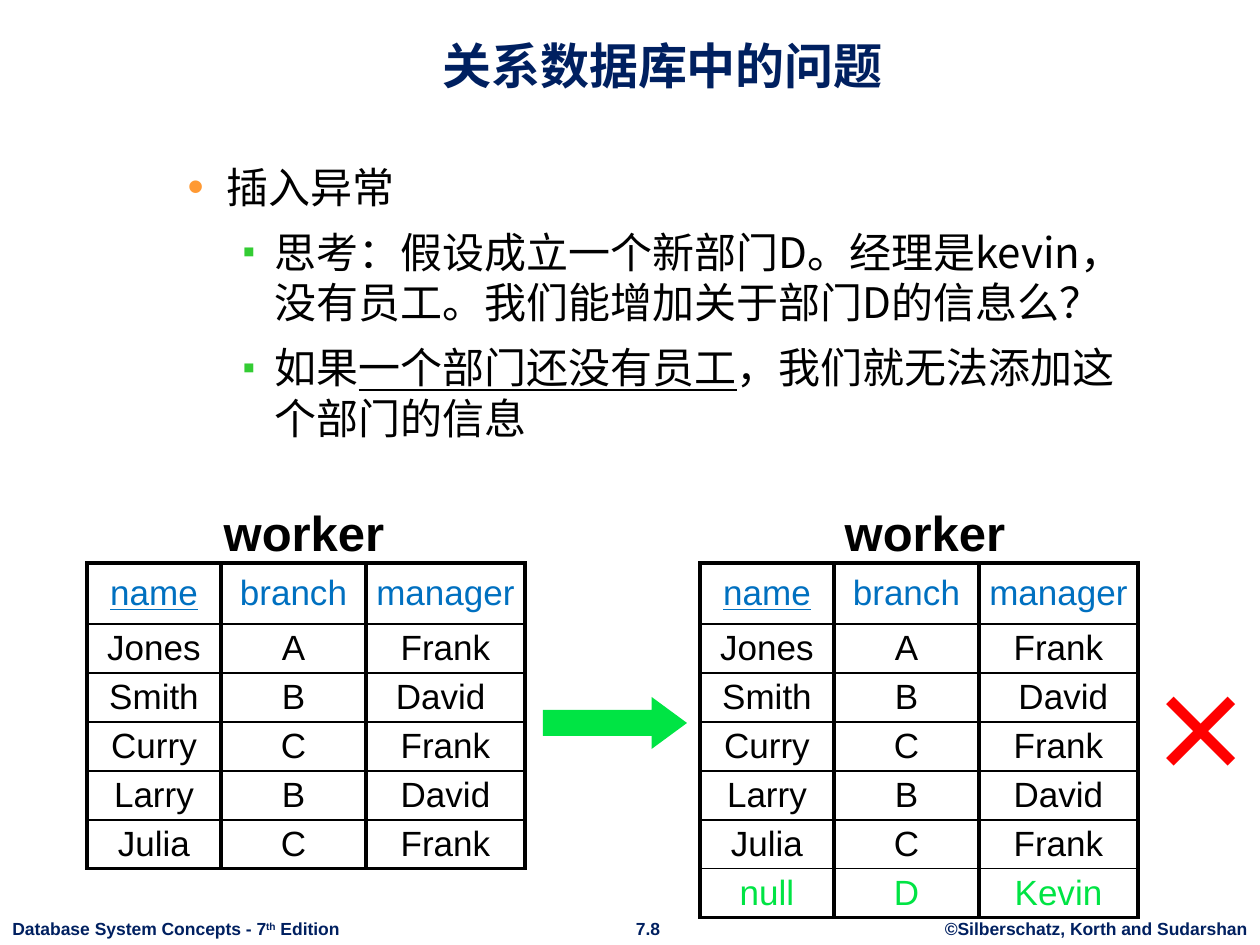
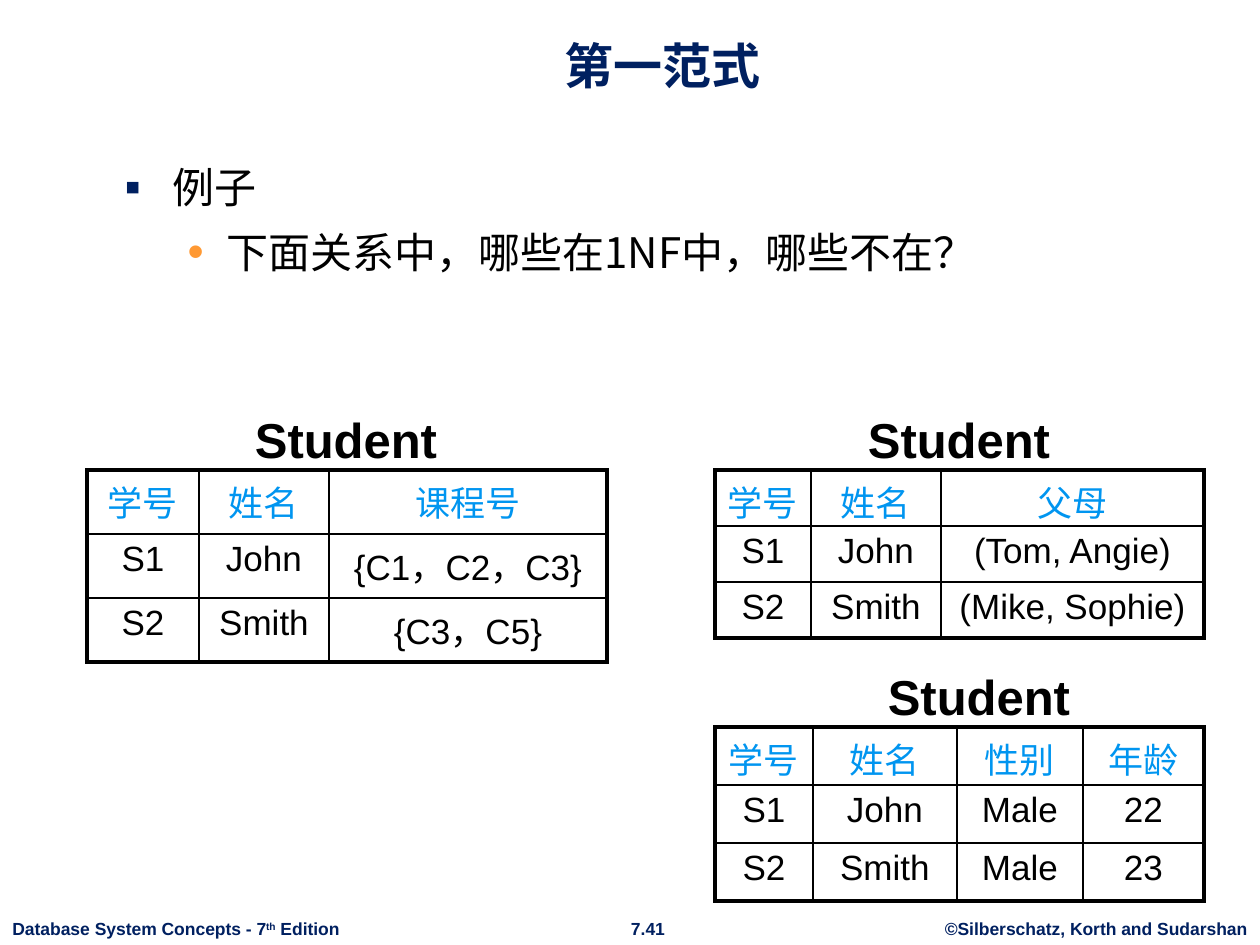
from lxml import etree
from pptx import Presentation
from pptx.dml.color import RGBColor
from pptx.enum.shapes import MSO_SHAPE
from pptx.enum.text import MSO_ANCHOR, MSO_AUTO_SIZE, PP_ALIGN
from pptx.oxml.ns import qn
from pptx.util import Pt

EMU_PER_PX = 914400 / 126
SLIDE_WIDTH, SLIDE_HEIGHT = 1260, 945

NAVY = RGBColor(0x00, 0x20, 0x60)
BLACK = RGBColor(0x00, 0x00, 0x00)
WHITE = RGBColor(0xFF, 0xFF, 0xFF)
ORANGE = RGBColor(0xFF, 0x99, 0x33)
LIME = RGBColor(0x33, 0xCC, 0x33)
GREEN = RGBColor(0x00, 0xE4, 0x44)
RED = RGBColor(0xFF, 0x00, 0x00)
HEADER_BLUE = RGBColor(0x00, 0x70, 0xC0)
HEADER_SKY = RGBColor(0x00, 0x95, 0xF0)

LATIN_FONT = "Arial"
CHINESE_FONT = "Noto Sans CJK SC"
THICK, THIN = 2.25, 1

# level: (left margin, first-line indent, bullet, bullet colour, bullet size %)
BULLETS = [
    (48, -48, "▪", NAVY, 110),
    (102, -39, "•", ORANGE, 110),
    (150, -32, "▪", LIME, 85),
]


def px(length):
    return round(length * EMU_PER_PX)


def add_run(paragraph, text, size, color=BLACK, bold=False, underline=False,
            font=LATIN_FONT, east_asian=CHINESE_FONT):
    run = paragraph.add_run()
    run.text = text
    run.font.size = Pt(size)
    run.font.bold = bold
    run.font.underline = underline
    run.font.color.rgb = color
    run.font.name = font
    properties = run._r.get_or_add_rPr()
    properties.find(qn("a:latin")).addnext(
        properties.makeelement(qn("a:ea"), {"typeface": east_asian}))
    return run


def place(shape, box):
    shape.left, shape.top, shape.width, shape.height = map(px, box)


def add_label(slide, box, align=PP_ALIGN.CENTER):
    """Add an empty one-line text box and return its paragraph."""
    frame = slide.shapes.add_textbox(*map(px, box)).text_frame
    frame.word_wrap = False
    paragraph = frame.paragraphs[0]
    paragraph.alignment = align
    return paragraph


def add_title(slide, text):
    title = slide.shapes.title
    place(title, (106, 16, 1113, 85))
    frame = title.text_frame
    frame.auto_size = MSO_AUTO_SIZE.NONE
    frame.vertical_anchor = MSO_ANCHOR.BOTTOM
    paragraph = frame.paragraphs[0]
    paragraph.alignment = PP_ALIGN.CENTER
    add_run(paragraph, text, 28, NAVY, bold=True, east_asian=LATIN_FONT)


def set_bullet(paragraph, level):
    margin, indent, character, color, size = BULLETS[level]
    paragraph.level = level
    properties = paragraph._p.get_or_add_pPr()
    properties.set("marL", str(px(margin)))
    properties.set("indent", str(px(indent)))
    bullet_color = etree.SubElement(properties, qn("a:buClr"))
    etree.SubElement(bullet_color, qn("a:srgbClr"), val=str(color))
    etree.SubElement(properties, qn("a:buSzPct"), val=str(size * 1000))
    etree.SubElement(properties, qn("a:buFont"), typeface=LATIN_FONT)
    etree.SubElement(properties, qn("a:buChar"), char=character)


def add_body(slide, items):
    """Fill the body with (level, [(text, underlined), ...]) items."""
    body = slide.placeholders[1]
    place(body, (112, 155, 1056, 675))
    frame = body.text_frame
    frame.auto_size = MSO_AUTO_SIZE.NONE
    for index, (level, runs) in enumerate(items):
        paragraph = frame.add_paragraph() if index else frame.paragraphs[0]
        set_bullet(paragraph, level)
        paragraph.line_spacing = Pt(28.8)
        paragraph.space_before = Pt(8.4 if index else 0)
        for text, underlined in runs:
            add_run(paragraph, text, 24, underline=underlined, font=CHINESE_FONT)


def add_footer(slide, number):
    top, height = 912, 33
    edition = add_label(slide, (0, top, 354, height), PP_ALIGN.LEFT)
    for text, baseline in (("Database System Concepts - 7", 0), ("th", 30000),
                           (" Edition", 0)):
        run = add_run(edition, text, 10, NAVY, bold=True)
        run._r.get_or_add_rPr().set("baseline", str(baseline))
    for left, width, text in ((617, 62, number),
                              (932, 328, "©Silberschatz, Korth and Sudarshan")):
        add_run(add_label(slide, (left, top, width, height)), text, 10, NAVY, bold=True)


def set_borders(cell, **widths):
    properties = cell._tc.get_or_add_tcPr()
    for side in "LRTB":
        line = etree.SubElement(properties, qn(f"a:ln{side}"),
                                w=str(Pt(widths[side])))
        fill = etree.SubElement(line, qn("a:solidFill"))
        etree.SubElement(fill, qn("a:srgbClr"), val=str(BLACK))


def add_relation(slide, name, label_center, left, top, columns, heights, rows,
                 header_color, inner_width=THIN, key_column=None,
                 anchor=MSO_ANCHOR.TOP, margins=(6, 0), new_row=None):
    """Draw a relation: its name above a table with thick outer borders."""
    label = add_label(slide, (label_center - 120, top - 67, 240, 72))
    add_run(label, name, 28, bold=True)

    table = slide.shapes.add_table(len(rows), len(columns), px(left), px(top),
                                   px(sum(columns)), px(sum(heights))).table
    table.first_row = table.horz_banding = False
    for column, width in zip(table.columns, columns):
        column.width = px(width)
    for row, height in zip(table.rows, heights):
        row.height = px(height)

    last_row, last_column = len(rows) - 1, len(columns) - 1
    for r, values in enumerate(rows):
        for c, text in enumerate(values):
            cell = table.cell(r, c)
            set_borders(cell,
                        L=inner_width if c else THICK,
                        R=inner_width if c < last_column else THICK,
                        T=THIN if r else THICK,
                        B=THIN if r < last_row else THICK)
            if r:
                cell.fill.background()
            else:
                cell.fill.solid()
                cell.fill.fore_color.rgb = WHITE
            cell.margin_left = cell.margin_right = 0
            cell.margin_top, cell.margin_bottom = map(px, margins)
            cell.vertical_anchor = anchor
            paragraph = cell.text_frame.paragraphs[0]
            paragraph.alignment = PP_ALIGN.CENTER
            color = header_color if r == 0 else GREEN if r == new_row else BLACK
            add_run(paragraph, text, 20, color,
                    underline=r == 0 and c == key_column)


def add_worker(slide, left, label_center, rows, new_row=None):
    add_relation(slide, "worker", label_center, left, 563, (134, 145, 159),
                 [61] + [49] * (len(rows) - 1), rows, HEADER_BLUE,
                 inner_width=THICK, key_column=0, anchor=MSO_ANCHOR.MIDDLE,
                 margins=(3, 3), new_row=new_row)


def add_student(slide, left, top, label_center, columns, row_height, rows):
    add_relation(slide, "Student", label_center, left, top, columns,
                 [row_height] * len(rows), rows, HEADER_SKY)


def add_insert_arrow(slide, box):
    arrow = slide.shapes.add_shape(MSO_SHAPE.RIGHT_ARROW, *map(px, box))
    arrow.adjustments[0], arrow.adjustments[1] = 0.5, 0.68
    arrow.shadow.inherit = False
    arrow.fill.solid()
    arrow.fill.fore_color.rgb = GREEN
    arrow.line.fill.background()


def add_cross(slide, box):
    paragraph = add_label(slide, box, PP_ALIGN.LEFT)
    paragraph.line_spacing = Pt(72)
    add_run(paragraph, "×", 60, RED, bold=True, font=CHINESE_FONT)


def start_slide(presentation, title, number, items):
    slide = presentation.slides.add_slide(presentation.slide_layouts[1])
    add_title(slide, title)
    add_body(slide, items)
    add_footer(slide, number)
    return slide


def build_insertion_slide(presentation):
    slide = start_slide(presentation, "关系数据库中的问题", "7.8", [
        (1, [("插入异常", False)]),
        (2, [("思考：假设成立一个新部门D。经理是kevin，没有员工。"
              "我们能增加关于部门D的信息么？", False)]),
        (2, [("如果", False), ("一个部门还没有员工", True),
             ("，我们就无法添加这个部门的信息", False)]),
    ])
    header = ("name", "branch", "manager")
    jones = ("Jones", "A", "Frank")
    others = [("Curry", "C", "Frank"), ("Larry", "B", "David"),
              ("Julia", "C", "Frank")]
    add_worker(slide, 87, 304, [header, jones, ("Smith", "B", "David "), *others])
    add_worker(slide, 700, 925,
               [header, jones, ("Smith", "B", " David"), *others,
                ("null", "D", "Kevin")], new_row=6)
    add_insert_arrow(slide, (543, 697, 144, 52))
    # The cross starts left of its glyph by the default inset
    add_cross(slide, (1136, 660, 111, 139))


def build_first_normal_form_slide(presentation):
    slide = start_slide(presentation, "第一范式", "7.41", [
        (0, [("例子", False)]),
        (1, [("下面关系中，哪些在1NF中，哪些不在？", False)]),
    ])
    john, smith = ("S1", "John"), ("S2", "Smith")
    key = ("学号", "姓名")
    add_student(slide, 87, 470, 346, (112, 130, 278), 64,
                [(*key, "课程号"), (*john, "{C1，C2，C3}"), (*smith, "{C3，C5}")])
    add_student(slide, 715, 470, 959, (96, 130, 263), 56,
                [(*key, "父母"), (*john, "(Tom, Angie)"), (*smith, "(Mike, Sophie)")])
    add_student(slide, 715, 727, 979, (98, 144, 126, 121), 58,
                [(*key, "性别", "年龄"), (*john, "Male", "22"), (*smith, "Male", "23")])


def main():
    presentation = Presentation()
    presentation.slide_width = px(SLIDE_WIDTH)
    presentation.slide_height = px(SLIDE_HEIGHT)
    build_insertion_slide(presentation)
    build_first_normal_form_slide(presentation)
    presentation.save("out.pptx")


if __name__ == "__main__":
    main()
